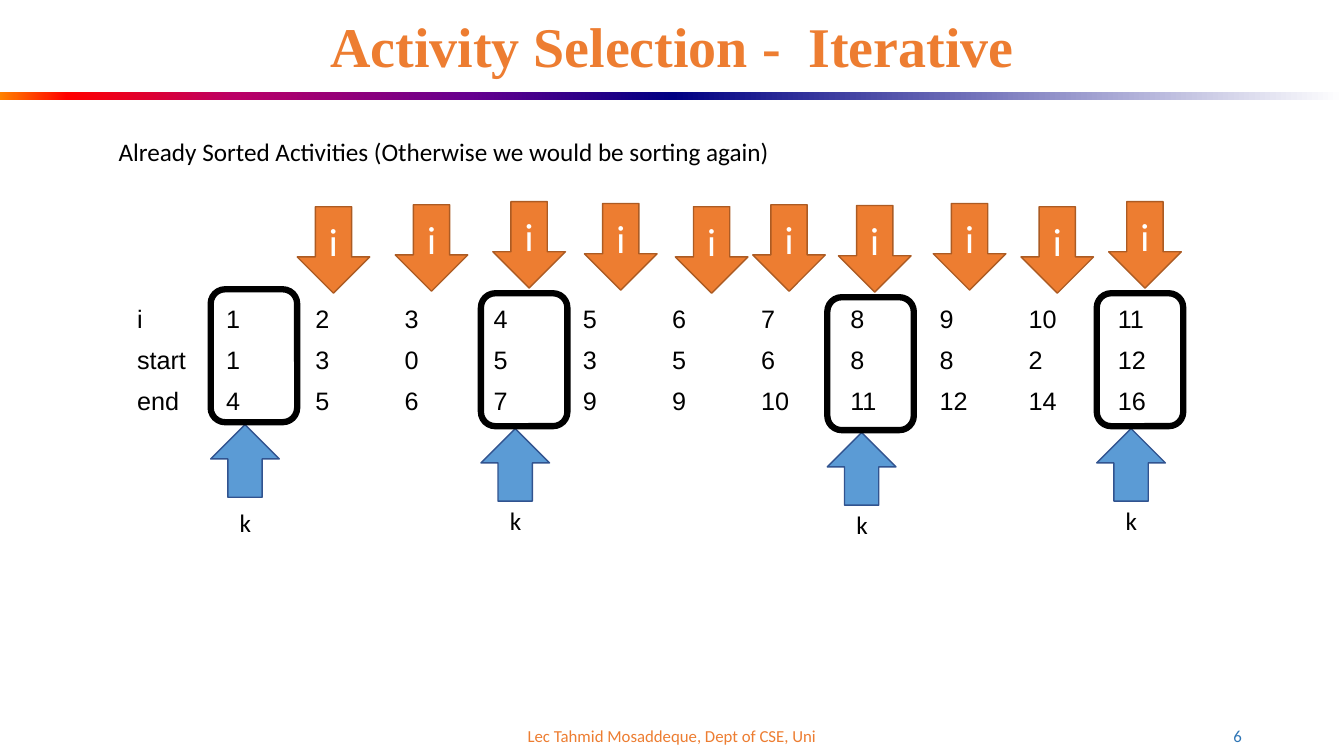
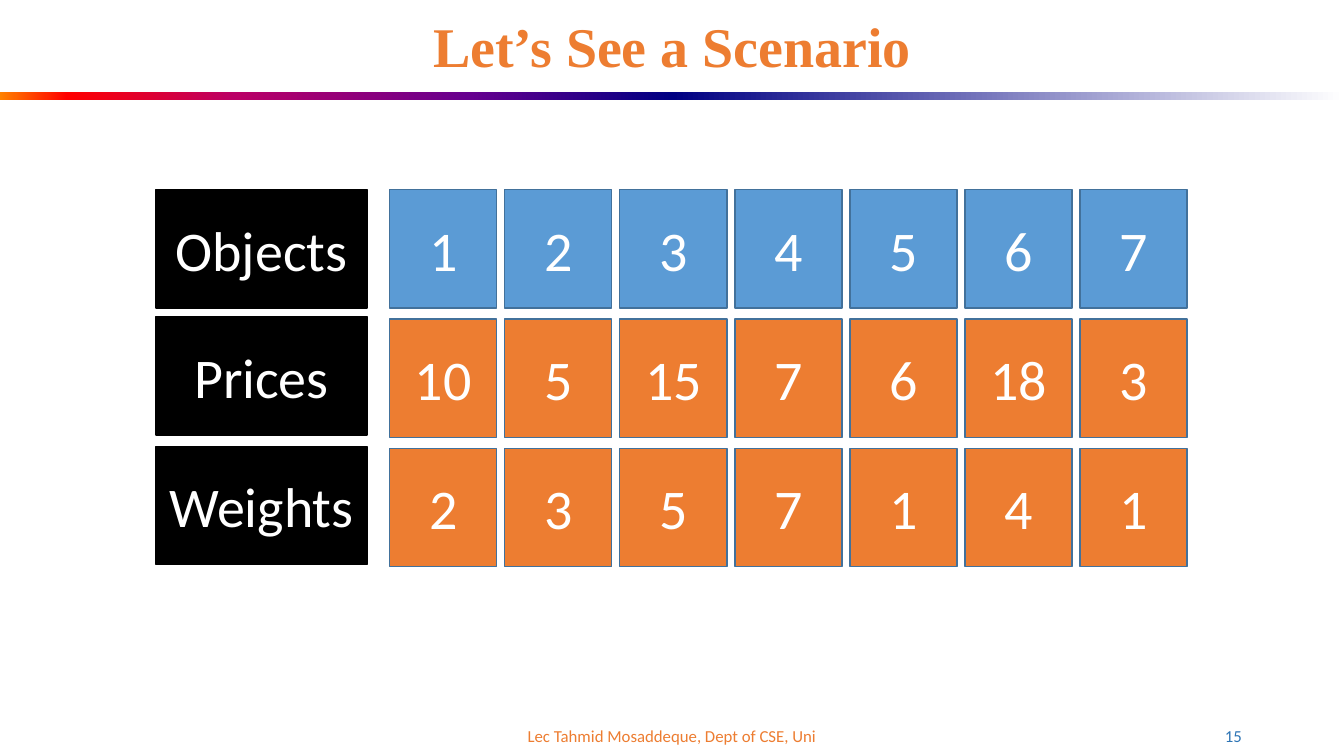
"""Build two lecture slides on activity selection and a knapsack scenario."""
import dataclasses

import lxml.etree
import pptx
import pptx.dml.color
import pptx.enum.shapes
import pptx.enum.text
import pptx.oxml.ns
import pptx.util

Cm = pptx.util.Cm
Pt = pptx.util.Pt
qn = pptx.oxml.ns.qn
RGB = pptx.dml.color.RGBColor.from_string
SHAPE = pptx.enum.shapes.MSO_SHAPE
ALIGN = pptx.enum.text.PP_ALIGN
ANCHOR = pptx.enum.text.MSO_ANCHOR


@dataclasses.dataclass(frozen=True)
class Theme:
    orange: str = "ED7D31"
    orange_edge: str = "AC5B23"
    blue: str = "5B9BD5"
    blue_edge: str = "31538F"
    tile_edge: str = "42719B"
    number_blue: str = "2E75B5"
    black: str = "000000"
    white: str = "FFFFFF"
    warm_band: tuple = ((0, "FF8200"), (10, "FF0000"), (35, "BA0066"),
                        (70, "66008F"), (100, "000082"))
    cool_band: tuple = ((0, "000082"), (100, "FFFFFF"))
    title_font: str = "Times New Roman"
    body_font: str = "Calibri"
    table_font: str = "Arial"
    large: int = 40
    marker: int = 28
    body: int = 18
    footer: int = 12


theme = Theme()


def write(frame, text, size, color, align=ALIGN.LEFT, anchor=ANCHOR.TOP, font=theme.body_font):
    """Put one styled run into a text frame and return its paragraph."""
    frame.word_wrap = True
    frame.vertical_anchor = anchor
    para = frame.paragraphs[0]
    para.alignment = align
    span = para.add_run()
    span.text = text
    span.font.name = font
    span.font.size = Pt(size)
    span.font.color.rgb = RGB(color)
    return para


def add_block(page, kind, left, top, width, height, fill, edge, weight=1):
    """Add a flat preset shape; a fill of None leaves it hollow."""
    block = page.shapes.add_shape(kind, Cm(left), Cm(top), Cm(width), Cm(height))
    block.shadow.inherit = False
    if fill:
        block.fill.solid()
        block.fill.fore_color.rgb = RGB(fill)
    else:
        block.fill.background()
    block.line.color.rgb = RGB(edge)
    block.line.width = Pt(weight)
    return block


deck = pptx.Presentation()
deck.slide_width = Cm(33.87)
deck.slide_height = Cm(19.05)
half_width = deck.slide_width // 2

pages = []
for title, number in (("Activity Selection -  Iterative", "6"), ("Let’s See a Scenario", "15")):
    page = deck.slides.add_slide(deck.slide_layouts[6])
    pages.append(page)

    for index, stops in enumerate((theme.warm_band, theme.cool_band)):
        band = page.shapes.add_shape(SHAPE.RECTANGLE, index * half_width, Cm(2.33),
                                     half_width, Cm(0.2))
        band.shadow.inherit = False
        band.line.fill.background()
        band.fill.gradient()
        band.fill.gradient_angle = 0
        stop_list = band.element.spPr.find(qn("a:gradFill")).find(qn("a:gsLst"))
        for stop in list(stop_list):
            stop_list.remove(stop)
        for percent, color in stops:
            stop = lxml.etree.SubElement(stop_list, qn("a:gs"), pos=str(percent * 1000))
            lxml.etree.SubElement(stop, qn("a:srgbClr"), val=color)

    footer = page.shapes.add_textbox(Cm(11.22), Cm(18.03), Cm(11.43), Cm(1.02))
    write(footer.text_frame, "Lec Tahmid Mosaddeque, Dept of CSE, Uni", theme.footer,
          theme.orange, ALIGN.CENTER, ANCHOR.MIDDLE)
    page_number = page.shapes.add_textbox(Cm(23.93), Cm(18.03), Cm(7.62), Cm(1.02))
    write(page_number.text_frame, number, theme.footer, theme.number_blue,
          ALIGN.RIGHT, ANCHOR.MIDDLE)

    heading = page.shapes.add_textbox(Cm(2.33), Cm(0.41), Cm(29.21), Cm(1.68))
    para = write(heading.text_frame, title, theme.large, theme.orange,
                 ALIGN.CENTER, ANCHOR.MIDDLE, theme.title_font)
    para.line_spacing = 0.9
    para.runs[0].font.bold = True

activity_page, scenario_page = pages

activities = (
    ("i", 1, 2, 3, 4, 5, 6, 7, 8, 9, 10, 11),
    ("start", 1, 3, 0, 5, 3, 5, 6, 8, 8, 2, 12),
    ("end", 4, 5, 6, 7, 9, 9, 10, 11, 12, 14, 16),
)
frame = activity_page.shapes.add_table(len(activities), len(activities[0]),
                                       Cm(3.2), Cm(7.57), Cm(26.97), Cm(3.09))
table = frame.table
table.first_row = False
table.horz_banding = False
for row, values in zip(table.rows, activities):
    for cell, value in zip(row.cells, values):
        cell.fill.background()
        write(cell.text_frame, str(value), theme.body, theme.black, font=theme.table_font)

selections = ((5.31, 7.29, 12.67), (12.12, 7.39, 12.6), (20.85, 7.49, 12.7), (27.64, 7.39, 12.6))
for left, box_top, label_top in selections:
    add_block(activity_page, SHAPE.UP_ARROW, left, box_top + 3.41, 1.73, 1.83,
              theme.blue, theme.blue_edge)
    add_block(activity_page, SHAPE.ROUNDED_RECTANGLE, left, box_top, 2.18, 3.35,
              None, theme.black, 4.5)
    label = activity_page.shapes.add_textbox(Cm(left + 0.48), Cm(label_top), Cm(0.82), Cm(1.02))
    write(label.text_frame, "k", theme.body, theme.black)

markers = ((7.49, 5.21), (9.96, 5.16), (12.42, 5.08), (14.73, 5.13), (17.02, 5.21),
           (18.97, 5.16), (21.13, 5.18), (23.52, 5.13), (25.73, 5.21), (27.94, 5.08))
for left, top in markers:
    arrow = add_block(activity_page, SHAPE.DOWN_ARROW, left, top, 1.83, 2.18,
                      theme.orange, theme.orange_edge)
    write(arrow.text_frame, "i", theme.marker, theme.white, ALIGN.CENTER, ANCHOR.MIDDLE)

caption = activity_page.shapes.add_textbox(Cm(2.74), Cm(3.3), Cm(17.09), Cm(1.02))
write(caption.text_frame, "Already Sorted Activities (Otherwise we would be sorting again)",
      theme.body, theme.black)

scenario = (
    ("Objects", 4.78, 4.78, theme.blue, (1, 2, 3, 4, 5, 6, 7)),
    ("Prices", 7.98, 8.04, theme.orange, (10, 5, 15, 7, 6, 18, 3)),
    ("Weights", 11.25, 11.3, theme.orange, (2, 3, 5, 7, 1, 4, 1)),
)
for name, label_top, tile_top, fill, values in scenario:
    label = add_block(scenario_page, SHAPE.RECTANGLE, 3.93, label_top, 5.32, 2.98,
                      theme.black, theme.black)
    write(label.text_frame, name, theme.large, theme.white, ALIGN.CENTER, ANCHOR.MIDDLE)
    for index, value in enumerate(values):
        tile = add_block(scenario_page, SHAPE.RECTANGLE, 9.82 + index * 2.9, tile_top, 2.7, 2.98,
                         fill, theme.tile_edge)
        write(tile.text_frame, str(value), theme.large, theme.white, ALIGN.CENTER, ANCHOR.MIDDLE)

deck.save("out.pptx")
